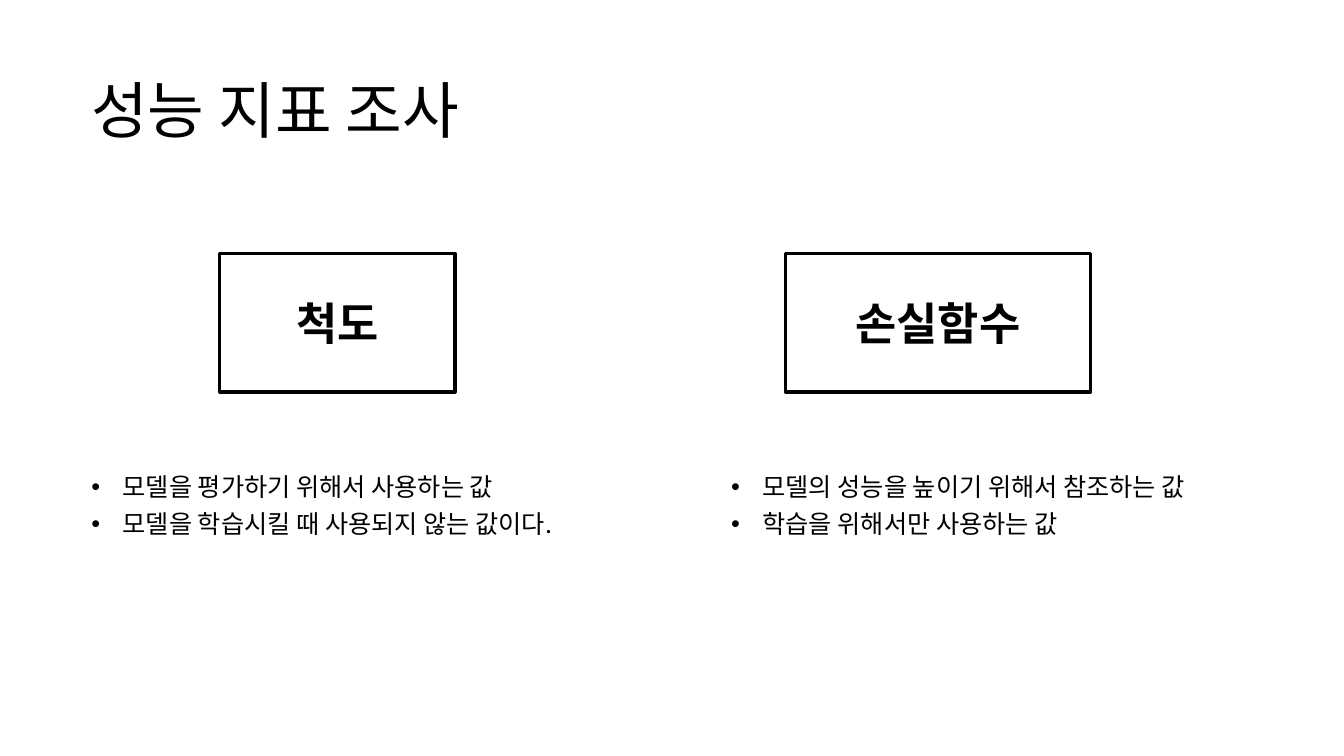
from dataclasses import dataclass

from lxml.etree import SubElement
from pptx import Presentation
from pptx.dml.color import RGBColor
from pptx.enum.shapes import MSO_SHAPE as Preset
from pptx.enum.text import MSO_ANCHOR as Anchor, MSO_AUTO_SIZE as AutoSize, PP_ALIGN as Align
from pptx.oxml.ns import qn
from pptx.shapes.base import BaseShape
from pptx.slide import Slide
from pptx.text.text import TextFrame
from pptx.util import Pt


@dataclass(frozen=True)
class Theme:
    """Font, colours and type sizes of the slide."""
    font: str = "Noto Sans CJK KR"
    ink: RGBColor = RGBColor(0, 0, 0)
    paper: RGBColor = RGBColor(255, 255, 255)
    title: float = 44
    heading: float = 32
    body: float = 18
    border: float = 2.25


@dataclass(frozen=True)
class Concept:
    """A boxed term with the points that define it; lengths in points."""
    term: str
    box_left: float
    box_width: float
    points: tuple[str, ...]
    points_left: float
    points_width: float
    points_height: float


THEME = Theme()
BOX_TOP, BOX_HEIGHT, POINTS_TOP = 181, 99, 328
POINT_INDENT, POINT_SPACING = 22.5, 1.23
CONCEPTS = (
    Concept("척도", 157, 168,
            ("모델을 평가하기 위해서 사용하는 값", "모델을 학습시킬 때 사용되지 않는 값이다."),
            58, 395, 101),
    Concept("손실함수", 561, 218,
            ("모델의 성능을 높이기 위해서 참조하는 값", "학습을 위해서만 사용하는 값"),
            515, 387, 68),
)


def place(shape: BaseShape, left: float, top: float, width: float, height: float) -> None:
    """Move and size a shape, in points."""
    shape.left, shape.top = Pt(left), Pt(top)
    shape.width, shape.height = Pt(width), Pt(height)


def write(frame: TextFrame, text: str, size: float, align: Align, spacing: float = 1,
          bold: bool = False) -> None:
    """Fill a text frame and format all its runs alike."""
    frame.text = text
    frame.word_wrap = True
    frame.auto_size = AutoSize.NONE
    for paragraph in frame.paragraphs:
        paragraph.alignment = align
        paragraph.line_spacing = spacing
        paragraph.space_before = paragraph.space_after = Pt(0)
        for run in paragraph.runs:
            font = run.font
            font.name, font.size, font.bold = THEME.font, Pt(size), bold
            font.color.rgb = THEME.ink
            SubElement(font._element, qn("a:ea"), typeface=THEME.font)


def draw_term(slide: Slide, concept: Concept) -> None:
    """Draw the outlined box that names a concept."""
    box = slide.shapes.add_shape(Preset.RECTANGLE, Pt(concept.box_left), Pt(BOX_TOP),
                                 Pt(concept.box_width), Pt(BOX_HEIGHT))
    box.shadow.inherit = False
    box.fill.solid()
    box.fill.fore_color.rgb = THEME.paper
    box.line.color.rgb = THEME.ink
    box.line.width = Pt(THEME.border)
    box.text_frame.vertical_anchor = Anchor.MIDDLE
    write(box.text_frame, concept.term, THEME.heading, Align.CENTER, bold=True)


def fill_points(body: BaseShape, concept: Concept) -> None:
    """Place a body placeholder and list a concept's points in it."""
    place(body, concept.points_left, POINTS_TOP, concept.points_width, concept.points_height)
    write(body.text_frame, "\n".join(concept.points), THEME.body, Align.LEFT, POINT_SPACING)
    for paragraph in body.text_frame.paragraphs:
        properties = paragraph._p.get_or_add_pPr()
        properties.set("marL", str(Pt(POINT_INDENT)))
        properties.set("indent", str(-Pt(POINT_INDENT)))
        SubElement(properties, qn("a:buFont"), typeface="Arial")
        SubElement(properties, qn("a:buChar"), char="•")


def build() -> None:
    """Build and save the slide."""
    deck = Presentation()
    deck.slide_width, deck.slide_height = Pt(960), Pt(540)
    two_content = deck.slide_layouts[3]
    slide = deck.slides.add_slide(two_content)

    title = slide.shapes.title
    place(title, 58, 29, 828, 104)
    title.text_frame.vertical_anchor = Anchor.MIDDLE
    write(title.text_frame, "성능 지표 조사", THEME.title, Align.LEFT, spacing=0.9)

    for index, concept in enumerate(CONCEPTS, start=1):
        fill_points(slide.placeholders[index], concept)
        draw_term(slide, concept)

    deck.save("out.pptx")


build()
